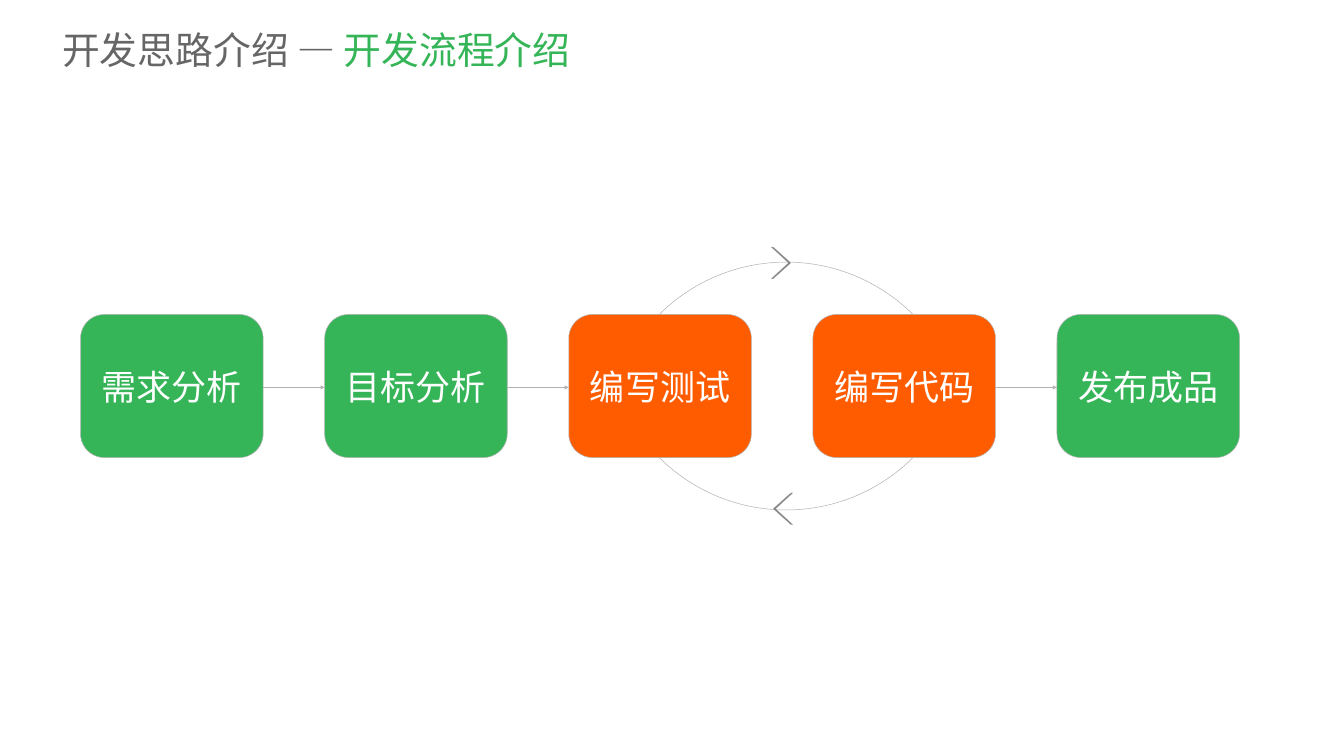
from dataclasses import dataclass
from math import cos, pi, sin

from lxml.etree import SubElement
from pptx import Presentation
from pptx.dml.color import RGBColor as RGB
from pptx.enum.shapes import MSO_CONNECTOR as CONN, MSO_SHAPE as SHAPE
from pptx.enum.text import MSO_ANCHOR as ANCHOR, MSO_AUTO_SIZE as FIT, PP_ALIGN as ALIGN
from pptx.oxml.ns import qn
from pptx.util import Cm, Pt

COLORS = {
    "green": "35B558",
    "orange": "FF5C00",
    "line": "B2B2B2",
    "chevron": "808080",
    "title": "666666",
    "white": "FFFFFF",
}
CJK_FONT = "Noto Sans CJK SC"

# Step grid, in cm
STEP_X, STEP_Y, STEP_W, STEP_H, PITCH = 4.06, 15.85, 9.2, 7.21, 12.3
ARC_X, ARC_SIZE, ARC_SEGMENTS = 35.08, 9.06, 48
CHEVRON = [(0, 0), (0.1, 0), (0.99, 0.8), (0.1, 1.6), (0, 1.6), (0.87, 0.8)]


@dataclass
class Step:
    text: str
    color: str
    arrow_to_next: bool = False


@dataclass
class LoopHalf:
    arc_y: float
    arc_rotation: float
    chevron_x: float
    chevron_y: float
    chevron_rotation: float


STEPS = [
    Step("需求分析", "green", True),
    Step("目标分析", "green", True),
    Step("编写测试", "orange"),
    Step("编写代码", "orange", True),
    Step("发布成品", "green"),
]
LOOP = [
    LoopHalf(11.33, 225, 38.86, 12.45, 0),
    LoopHalf(18.52, 45, 38.96, 24.84, 180),
]


def rgb(name: str) -> RGB:
    return RGB.from_string(COLORS[name])


def add_run(p, text: str, color: str, size: float, font: str) -> None:
    r = p.add_run()
    r.text = text
    for key, value in {"name": font, "size": Pt(size)}.items():
        setattr(r.font, key, value)
    r.font.color.rgb = rgb(color)
    SubElement(r.font._element, qn("a:ea"), typeface=CJK_FONT)


def style_line(s, width: float) -> None:
    s.line.color.rgb = rgb("line")
    s.line.width = Pt(width)


def style_shape(s, fill: str | None, line_width: float) -> None:
    s.shadow.inherit = False
    if fill:
        s.fill.solid()
        s.fill.fore_color.rgb = rgb(fill)
    else:
        s.fill.background()
    style_line(s, line_width)


def add_title(slide) -> None:
    s = slide.shapes.title
    box = {"left": 2.87, "top": 1.09, "width": 63.88, "height": 2.79}
    for key, value in box.items():
        setattr(s, key, Cm(value))
    tf = s.text_frame
    for key, value in {"word_wrap": True, "auto_size": FIT.NONE,
                       "vertical_anchor": ANCHOR.MIDDLE}.items():
        setattr(tf, key, value)
    p = tf.paragraphs[0]
    p.alignment = ALIGN.LEFT
    add_run(p, "开发思路介绍 — ", "title", 54, CJK_FONT)
    add_run(p, "开发流程介绍", "green", 54, CJK_FONT)


def add_step(slide, step: Step, x: float) -> None:
    s = slide.shapes.add_shape(SHAPE.ROUNDED_RECTANGLE, Cm(x), Cm(STEP_Y), Cm(STEP_W), Cm(STEP_H))
    style_shape(s, step.color, 0.75)
    tf = s.text_frame
    for key, value in {"word_wrap": False, "vertical_anchor": ANCHOR.MIDDLE}.items():
        setattr(tf, key, value)
    p = tf.paragraphs[0]
    p.alignment = ALIGN.CENTER
    add_run(p, step.text, "white", 50, "Arial")


def add_arrow(slide, x: float) -> None:
    y = Cm(STEP_Y + STEP_H / 2 + 0.07)
    s = slide.shapes.add_connector(CONN.STRAIGHT, Cm(x), y, Cm(x + PITCH - STEP_W), y)
    style_line(s, 0.75)
    SubElement(s.line._get_or_add_ln(), qn("a:tailEnd"), type="triangle")
    SubElement(s._element.spPr, qn("a:effectLst"))


def add_outline(slide, points: list[tuple[float, float]], x: float, y: float,
                rotation: float, closed: bool):
    pts = [(Cm(x + dx), Cm(y + dy)) for dx, dy in points]
    builder = slide.shapes.build_freeform(*pts[0])
    builder.add_line_segments(pts[1:], close=closed)
    s = builder.convert_to_shape()
    s.rotation = rotation
    return s


def add_loop_half(slide, half: LoopHalf) -> None:
    angles = [pi / 2 * i / ARC_SEGMENTS for i in range(ARC_SEGMENTS + 1)]
    quarter = [(ARC_SIZE * cos(a), ARC_SIZE * sin(a)) for a in angles]
    arc = add_outline(slide, quarter, ARC_X, half.arc_y, half.arc_rotation, False)
    style_shape(arc, None, 0.75)
    chevron = add_outline(slide, CHEVRON, half.chevron_x, half.chevron_y,
                          half.chevron_rotation, True)
    style_shape(chevron, "chevron", 0.25)


def main() -> None:
    prs = Presentation()
    prs.slide_width, prs.slide_height = Cm(67.72), Cm(38.1)
    slide = prs.slides.add_slide(prs.slide_layouts[5])
    add_title(slide)

    # Process steps and the arrows between them
    for i, step in enumerate(STEPS):
        x = STEP_X + i * PITCH
        add_step(slide, step, x)
        if step.arrow_to_next:
            add_arrow(slide, x + STEP_W)

    # Test and code loop
    for half in LOOP:
        add_loop_half(slide, half)

    prs.save("out.pptx")


if __name__ == "__main__":
    main()
